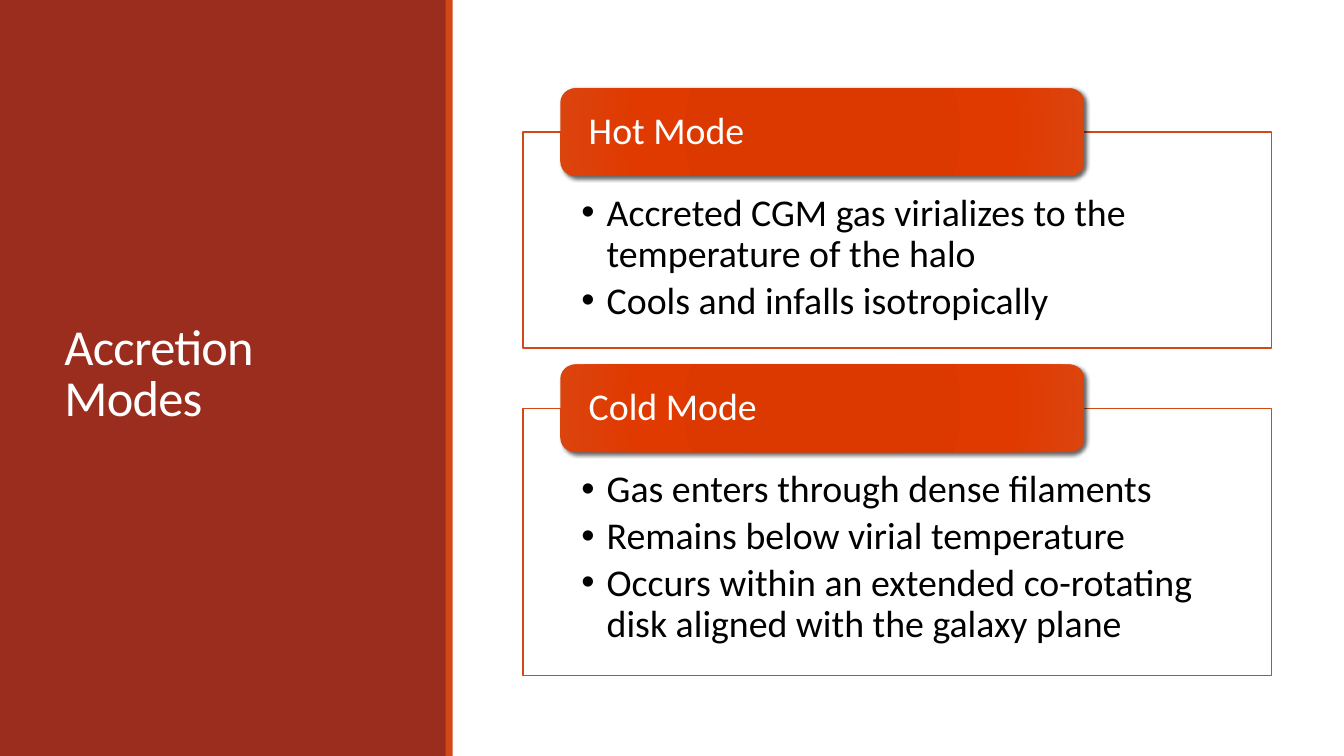
"""Build the Accretion Modes slide: a title panel beside two framed lists with tabs."""
from dataclasses import dataclass

from lxml.etree import SubElement
from pptx import Presentation
from pptx.dml.color import RGBColor as Rgb
from pptx.enum.shapes import MSO_SHAPE as Shape
from pptx.enum.text import MSO_ANCHOR as Anchor, MSO_AUTO_SIZE as AutoSize, PP_ALIGN as Align
from pptx.oxml import parse_xml
from pptx.oxml.ns import nsdecls, qn
from pptx.util import Cm, Pt

TITLE = "Accretion Modes"
MODES = [
    {
        "heading": "Hot Mode",
        "height": 5.44,
        "points": [
            "Accreted CGM gas virializes to the temperature of the halo",
            "Cools and infalls isotropically",
        ],
    },
    {
        "heading": "Cold Mode",
        "height": 6.73,
        "points": [
            "Gas enters through dense filaments",
            "Remains below virial temperature",
            "Occurs within an extended co-rotating disk aligned with the galaxy plane",
        ],
    },
]


@dataclass(frozen=True)
class Theme:
    """Colours, font and type sizes of the slide."""

    panel: str = "9B2D1F"
    accent: str = "D34817"
    light: str = "FFFFFF"
    ink: str = "000000"
    tab_stops: tuple = ((0, "DA3900"), (34, "DC3900"), (70, "E03A00"), (100, "DC440E"))
    font: str = "Calibri"
    title_size: float = 36
    text_size: float = 27


THEME = Theme()
SLIDE_WIDTH, SLIDE_HEIGHT = 33.87, 19.05
PANEL_WIDTH = 11.25
STRIPE_LEFT, STRIPE_WIDTH = 11.23, 0.18
TITLE_BOX = (1.37, 1.45, 8.56, 16.03)
FRAME_LEFT, FRAME_TOP, FRAME_WIDTH, FRAME_GAP = 13.18, 3.33, 18.87, 1.52
FRAME_INSETS = (1.47, 1.55, 1.47, 0.53)
TAB_LEFT, TAB_WIDTH, TAB_HEIGHT = 14.12, 13.21, 2.21
TAB_INSETS = (0.61, 0, 0.61, 0)


def place(part, box):
    """Move a part to a left, top, width, height box in centimetres."""
    part.left, part.top, part.width, part.height = map(Cm, box)


def set_insets(frame, insets):
    """Set left, top, right and bottom text margins in centimetres."""
    frame.margin_left, frame.margin_top, frame.margin_right, frame.margin_bottom = map(Cm, insets)


def write(paragraph, words, size, color, spacing):
    """Add one formatted run to a left-aligned paragraph."""
    paragraph.alignment = Align.LEFT
    paragraph.line_spacing = spacing
    paragraph.space_before = Pt(0)
    run = paragraph.add_run()
    run.text = words
    run.font.name, run.font.size = THEME.font, Pt(size)
    run.font.color.rgb = Rgb.from_string(color)
    return run


def add_block(slide, kind, box):
    """Add a preset shape without outline or shadow."""
    block = slide.shapes.add_shape(kind, *map(Cm, box))
    block.shadow.inherit = False
    block.line.fill.background()
    return block


def add_bar(slide, box, color):
    """Add a plain coloured rectangle."""
    bar = add_block(slide, Shape.RECTANGLE, box)
    bar.fill.solid()
    bar.fill.fore_color.rgb = Rgb.from_string(color)


def fill_title(title):
    """Place the title over the panel and write it."""
    title.element.getparent().append(title.element)
    place(title, TITLE_BOX)
    frame = title.text_frame
    frame.word_wrap, frame.auto_size = True, AutoSize.NONE
    frame.vertical_anchor = Anchor.MIDDLE
    run = write(frame.paragraphs[0], TITLE, THEME.title_size, THEME.light, 0.85)
    run.font._element.set("spc", "-50")


def fill_list(body, points, box):
    """Turn a body placeholder into an outlined, bulleted list."""
    place(body, box)
    body.fill.solid()
    body.fill.fore_color.rgb = Rgb.from_string(THEME.light)
    fill_color = body.element.spPr.find(".//" + qn("a:srgbClr"))
    SubElement(fill_color, qn("a:alpha"), val="90000")
    body.line.color.rgb = Rgb.from_string(THEME.accent)
    body.line.width = Pt(1)
    frame = body.text_frame
    frame.word_wrap, frame.auto_size = True, AutoSize.NONE
    frame.vertical_anchor = Anchor.TOP
    set_insets(frame, FRAME_INSETS)
    for index, point in enumerate(points):
        paragraph = frame.add_paragraph() if index else frame.paragraphs[0]
        paragraph.level = 1
        write(paragraph, point, THEME.text_size, THEME.ink, 0.9)
        paragraph.space_after = Pt(4.3)
        properties = paragraph._p.get_or_add_pPr()
        properties.set("marL", str(Cm(0.64)))
        properties.set("indent", str(-Cm(0.64)))
        SubElement(properties, qn("a:buFont"), typeface="Arial")
        SubElement(properties, qn("a:buChar"), char="•")


def add_tab(slide, heading, box):
    """Add a rounded heading tab with a radial gradient and a soft shadow."""
    tab = add_block(slide, Shape.ROUNDED_RECTANGLE, box)
    stops = "".join(
        f'<a:gs pos="{position * 1000}"><a:srgbClr val="{color}"/></a:gs>'
        for position, color in THEME.tab_stops
    )
    gradient = parse_xml(
        f'<a:gradFill {nsdecls("a")} rotWithShape="1"><a:gsLst>{stops}</a:gsLst>'
        '<a:path path="circle"><a:fillToRect l="100000" t="100000" r="100000" b="100000"/>'
        "</a:path></a:gradFill>"
    )
    properties = tab.element.spPr
    properties.find(qn("a:ln")).addprevious(gradient)
    shadow = SubElement(
        properties.find(qn("a:effectLst")), qn("a:outerShdw"),
        blurRad=str(Pt(3)), dist=str(Pt(2)), dir="2700000", algn="tl", rotWithShape="0",
    )
    shadow_color = SubElement(shadow, qn("a:srgbClr"), val=THEME.ink)
    SubElement(shadow_color, qn("a:alpha"), val="60000")
    frame = tab.text_frame
    frame.word_wrap, frame.vertical_anchor = True, Anchor.MIDDLE
    set_insets(frame, TAB_INSETS)
    write(frame.paragraphs[0], heading, THEME.text_size, THEME.light, 0.9)


def main():
    """Assemble and save the slide."""
    deck = Presentation()
    deck.slide_width, deck.slide_height = Cm(SLIDE_WIDTH), Cm(SLIDE_HEIGHT)
    slide = deck.slides.add_slide(deck.slide_layouts.get_by_name("Two Content"))
    title, *bodies = slide.placeholders
    add_bar(slide, (0, 0, PANEL_WIDTH, SLIDE_HEIGHT), THEME.panel)
    add_bar(slide, (STRIPE_LEFT, 0, STRIPE_WIDTH, SLIDE_HEIGHT), THEME.accent)
    fill_title(title)
    top = FRAME_TOP
    for body, mode in zip(bodies, MODES):
        fill_list(body, mode["points"], (FRAME_LEFT, top, FRAME_WIDTH, mode["height"]))
        add_tab(slide, mode["heading"], (TAB_LEFT, top - TAB_HEIGHT / 2, TAB_WIDTH, TAB_HEIGHT))
        top += mode["height"] + FRAME_GAP
    deck.save("out.pptx")


if __name__ == "__main__":
    main()
